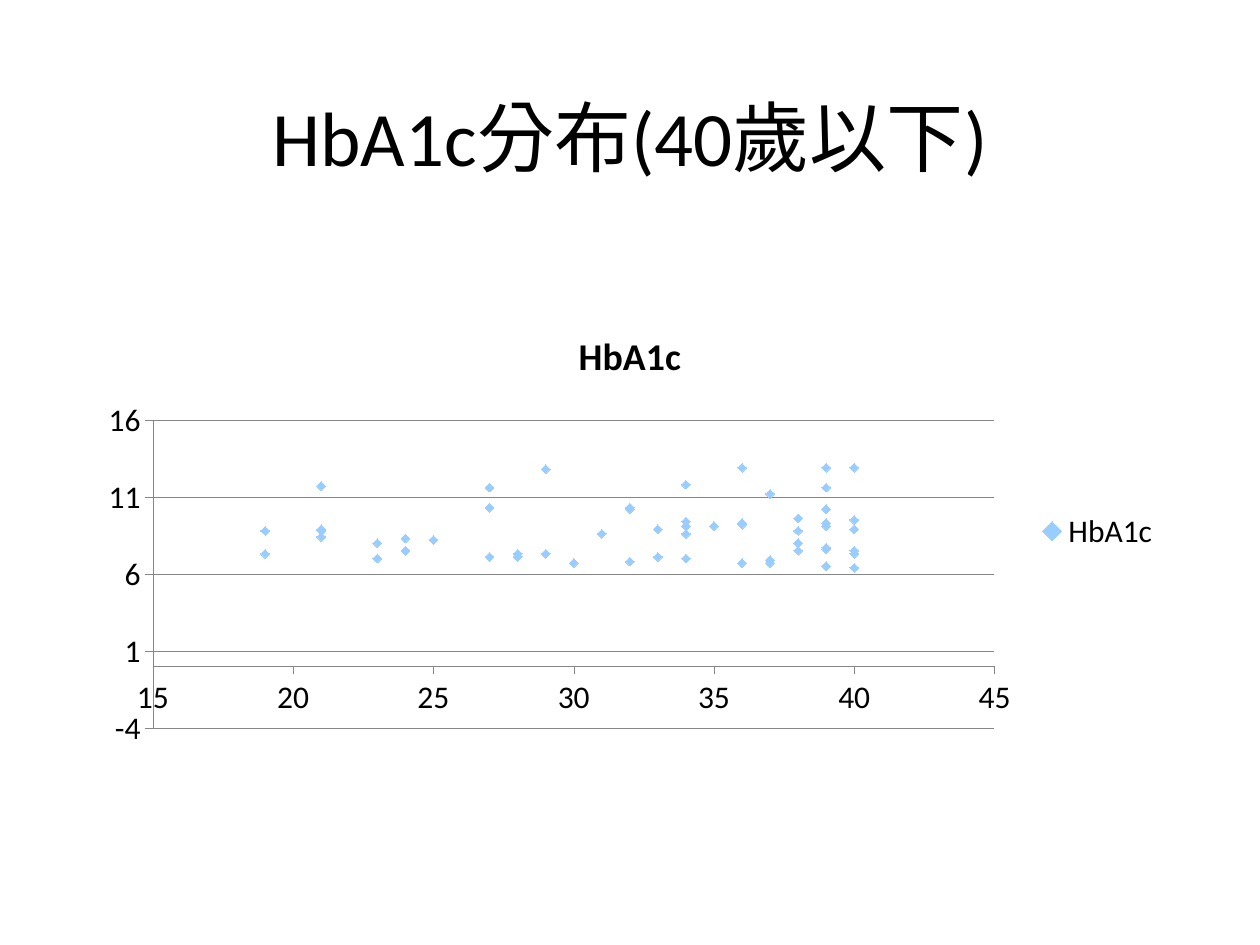
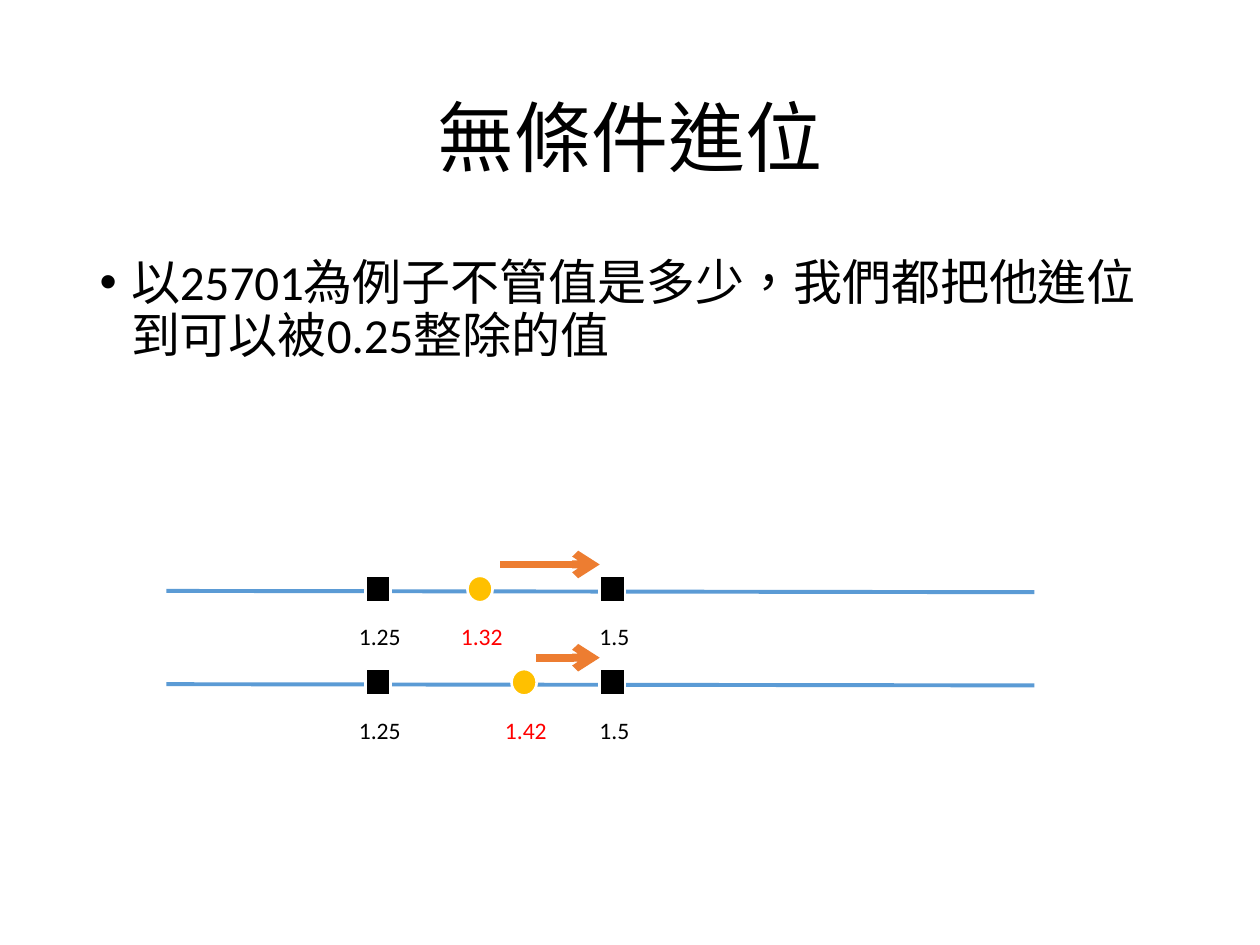
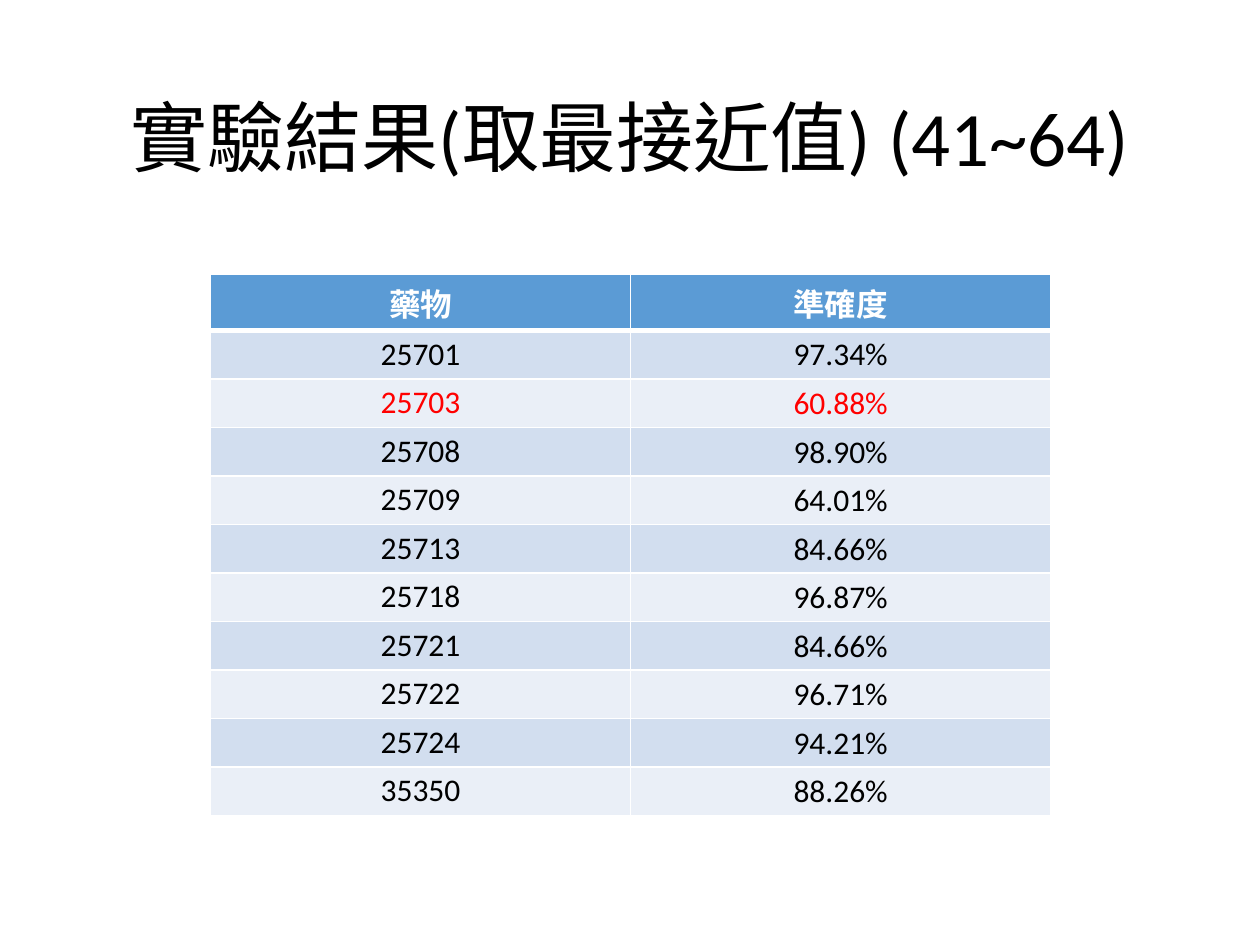
from lxml import etree
from pptx import Presentation
from pptx import util as u
from pptx.chart import data as chart_data
from pptx.dml.color import RGBColor
from pptx.enum import chart as ch, lang, shapes, text
from pptx.oxml import ns

FONT = "Calibri"
COLORS = {
    "ink": "000000", "paper": "FFFFFF", "blue": "5B9BD5", "marker": "99CCFF",
    "orange": "ED7D31", "gold": "FFC000", "red": "FF0000", "grid": "868686",
    "odd": "D2DEEF", "even": "EAEFF7",
}
TITLE_BOX = (0.69, 0.4, 8.62, 1.45)
BODY_BOX = (0.69, 2, 8.62, 4.76)

# Age and HbA1c reading of each patient, in the order recorded
AGES = [
    19, 19, 21, 21, 21, 21, 23, 24, 27, 27, 28, 32, 33, 34, 34, 34, 36, 36, 36,
    38, 39, 39, 39, 39, 23, 24, 25, 27, 28, 29, 29, 30, 31, 32, 32, 33, 34, 34,
    35, 36, 36, 37, 37, 37, 38, 38, 38, 39, 39, 39, 39, 40, 40, 40, 40, 40, 40,
]
READINGS = [
    8.8, 7.3, 8.4, 8.9, 8.8, 11.7, 8, 8.3, 7.1, 11.6, 7.1, 10.3, 7.1, 11.8,
    8.6, 9.1, 9.3, 9.3, 6.7, 7.5, 10.2, 9.1, 7.7, 12.9, 7, 7.5, 8.2, 10.3,
    7.3, 12.8, 7.3, 6.7, 8.6, 6.8, 10.2, 8.9, 9.4, 7, 9.1, 9.2, 12.9, 11.2,
    6.7, 6.9, 9.6, 8, 8.8, 7.6, 6.5, 11.6, 9.3, 12.9, 6.4, 8.9, 9.5, 7.3, 7.5,
]
ACCURACY = [
    ("藥物", "準確度"), ("25701", "97.34%"), ("25703", "60.88%"),
    ("25708", "98.90%"), ("25709", "64.01%"), ("25713", "84.66%"),
    ("25718", "96.87%"), ("25721", "84.66%"), ("25722", "96.71%"),
    ("25724", "94.21%"), ("35350", "88.26%"),
]
LOW_ACCURACY = "25703"


# Shared helpers
def rgb(name):
    return RGBColor.from_string(COLORS[name])


def inches(*values):
    return [u.Inches(value) for value in values]


def assign(target, **values):
    for name, value in values.items():
        setattr(target, name, value)


def style_font(font, size, color="ink", bold=False):
    assign(font, name=FONT, size=u.Pt(size), bold=bold)
    font.color.rgb = rgb(color)


def place(shape, box):
    for name, value in zip(("left", "top", "width", "height"), inches(*box)):
        setattr(shape, name, value)


def write(frame, words, size, color="ink", bold=False, **paragraph_format):
    para = frame.paragraphs[0]
    assign(para, **paragraph_format)
    span = para.add_run()
    span.text = words
    style_font(span.font, size, color, bold)
    span.font.language_id = lang.MSO_LANGUAGE_ID.TRADITIONAL_CHINESE
    return para


def style_line(line, color, width):
    line.color.rgb = rgb(color)
    line.width = u.Pt(width)


def add_titled_slide(deck, layout, title):
    page = deck.slides.add_slide(deck.slide_layouts[layout])
    place(page.shapes.title, TITLE_BOX)
    frame = page.shapes.title.text_frame
    assign(frame, auto_size=text.MSO_AUTO_SIZE.NONE,
           vertical_anchor=text.MSO_ANCHOR.MIDDLE)
    write(frame, title, 44, alignment=text.PP_ALIGN.CENTER, line_spacing=0.9)
    return page


# Scatter chart of readings by age
def add_scatter(page, box):
    data = chart_data.XyChartData()
    series_data = data.add_series("HbA1c")
    for age, reading in zip(AGES, READINGS):
        series_data.add_data_point(age, reading)
    chart = page.shapes.add_chart(
        ch.XL_CHART_TYPE.XY_SCATTER, *inches(*box), data).chart
    style_font(chart.font, 18)

    chart.has_title = True
    write(chart.chart_title.text_frame, "HbA1c", 21.6, bold=True)
    chart.has_legend = True
    assign(chart.legend, position=ch.XL_LEGEND_POSITION.RIGHT,
           include_in_layout=False)

    chart.plots[0].vary_by_categories = False
    series = chart.plots[0].series[0]
    series.smooth = False
    series.format.line.fill.background()
    assign(series.marker, style=ch.XL_MARKER_STYLE.DIAMOND, size=5)
    series.marker.format.fill.solid()
    series.marker.format.fill.fore_color.rgb = rgb("marker")
    series.marker.format.line.fill.background()

    scales = ((chart.category_axis, 15, 45, False),
              (chart.value_axis, -4, 16, True))
    for axis, low, high, grid in scales:
        assign(axis, minimum_scale=low, maximum_scale=high, major_unit=5,
               has_major_gridlines=grid,
               major_tick_mark=ch.XL_TICK_MARK.OUTSIDE,
               minor_tick_mark=ch.XL_TICK_MARK.NONE)
        style_line(axis.format.line, "grid", 0.25)
        if grid:
            style_line(axis.major_gridlines.format.line, "grid", 0.25)


# Bulleted body text
def fill_body(page, words):
    body = page.placeholders[1]
    place(body, BODY_BOX)
    body.text_frame.auto_size = text.MSO_AUTO_SIZE.NONE
    para = write(body.text_frame, words, 28, line_spacing=0.9,
                 space_before=u.Pt(0))
    properties = para._p.get_or_add_pPr()
    properties.set("marL", str(u.Inches(0.25)))
    properties.set("indent", str(u.Inches(-0.25)))
    for tag, name, value in (("a:buFont", "typeface", "Arial"),
                             ("a:buChar", "char", "•")):
        etree.SubElement(properties, ns.qn(tag)).set(name, value)


# Number line with a value rounded up to the next mark
def add_line(page, start, end, color, width, arrow=False):
    connector = page.shapes.add_connector(
        shapes.MSO_CONNECTOR.STRAIGHT, *inches(*start, *end))
    style_line(connector.line, color, width)
    if arrow:
        etree.SubElement(connector.line._get_or_add_ln(),
                         ns.qn("a:tailEnd")).set("type", "arrow")
    etree.SubElement(connector._element.spPr, ns.qn("a:effectLst"))


def add_mark(page, left, top, preset, fill, label, label_width, label_color):
    mark = page.shapes.add_shape(preset, *inches(left, top, 0.2, 0.21))
    mark.shadow.inherit = False
    mark.fill.solid()
    mark.fill.fore_color.rgb = rgb(fill)
    style_line(mark.line, "paper", 1.5)
    label_left = left + 0.12 - label_width / 2
    caption = page.shapes.add_textbox(
        *inches(label_left, top + 0.32, label_width, 0.33))
    assign(caption.text_frame, word_wrap=False,
           auto_size=text.MSO_AUTO_SIZE.SHAPE_TO_FIT_TEXT)
    write(caption.text_frame, label, 13.5, label_color)


def add_number_line(page, left, top, value, value_offset, arrow_offset):
    axis_y = top + 0.21
    add_line(page, (left, axis_y), (left + 6.89, axis_y + 0.01), "blue", 2.25)
    square, dot = shapes.MSO_SHAPE.RECTANGLE, shapes.MSO_SHAPE.OVAL
    marks = ((1.58, square, "ink", "1.25", 0.54, "ink"),
             (value_offset, dot, "gold", value, 0.54, "red"),
             (3.44, square, "ink", "1.5", 0.44, "ink"))
    for offset, *look in marks:
        add_mark(page, left + offset, top + 0.09, *look)
    add_line(page, (left + arrow_offset, top), (left + 3.44, top),
             "orange", 4.5, arrow=True)


# Accuracy table
def set_borders(cell, bottom):
    properties = cell._tc.get_or_add_tcPr()
    for side, width in (("L", 1), ("R", 1), ("T", 1), ("B", bottom)):
        edge = etree.SubElement(properties, ns.qn(f"a:ln{side}"))
        edge.set("w", str(u.Pt(width)))
        fill = etree.SubElement(edge, ns.qn("a:solidFill"))
        etree.SubElement(fill, ns.qn("a:srgbClr")).set("val", COLORS["paper"])


def add_accuracy_table(page, box):
    table = page.shapes.add_table(
        len(ACCURACY), len(ACCURACY[0]), *inches(*box)).table
    for row, values in enumerate(ACCURACY):
        table.rows[row].height = u.Inches(box[3] / len(ACCURACY))
        header = row == 0
        fill = "blue" if header else "odd" if row % 2 else "even"
        color = ("paper" if header else
                 "red" if values[0] == LOW_ACCURACY else "ink")
        for column, value in enumerate(values):
            cell = table.cell(row, column)
            set_borders(cell, 3 if header else 1)
            cell.fill.solid()
            cell.fill.fore_color.rgb = rgb(fill)
            tight = column == 1 and not header
            side, edge = (0.01, 0.01) if tight else (0.07, 0.04)
            assign(cell, margin_left=u.Inches(side),
                   margin_right=u.Inches(side), margin_top=u.Inches(edge),
                   margin_bottom=u.Inches(0 if tight else edge),
                   vertical_anchor=(text.MSO_ANCHOR.MIDDLE if tight
                                    else text.MSO_ANCHOR.TOP))
            write(cell.text_frame, value, 18, color, header,
                  alignment=text.PP_ALIGN.CENTER)


# Slides
def build_distribution(deck):
    page = add_titled_slide(deck, 5, "HbA1c分布(40歲以下)")
    add_scatter(page, (0.69, 2.43, 8.62, 3.57))


def build_rounding(deck):
    page = add_titled_slide(deck, 1, "無條件進位")
    fill_body(page, "以25701為例子不管值是多少，我們都把他進位到可以被0.25整除的值")
    examples = (("1.32", 2.39, 2.65), ("1.42", 2.74, 2.93))
    for index, example in enumerate(examples):
        add_number_line(page, 1.32, 4.48 + 0.74 * index, *example)


def build_results(deck):
    page = add_titled_slide(deck, 5, "實驗結果(取最接近值) (41~64)")
    add_accuracy_table(page, (1.67, 2.18, 6.67, 4.12))


def main():
    deck = Presentation()
    assign(deck, slide_width=u.Inches(10), slide_height=u.Inches(7.5))
    for build in (build_distribution, build_rounding, build_results):
        build(deck)
    deck.save("out.pptx")


if __name__ == "__main__":
    main()
